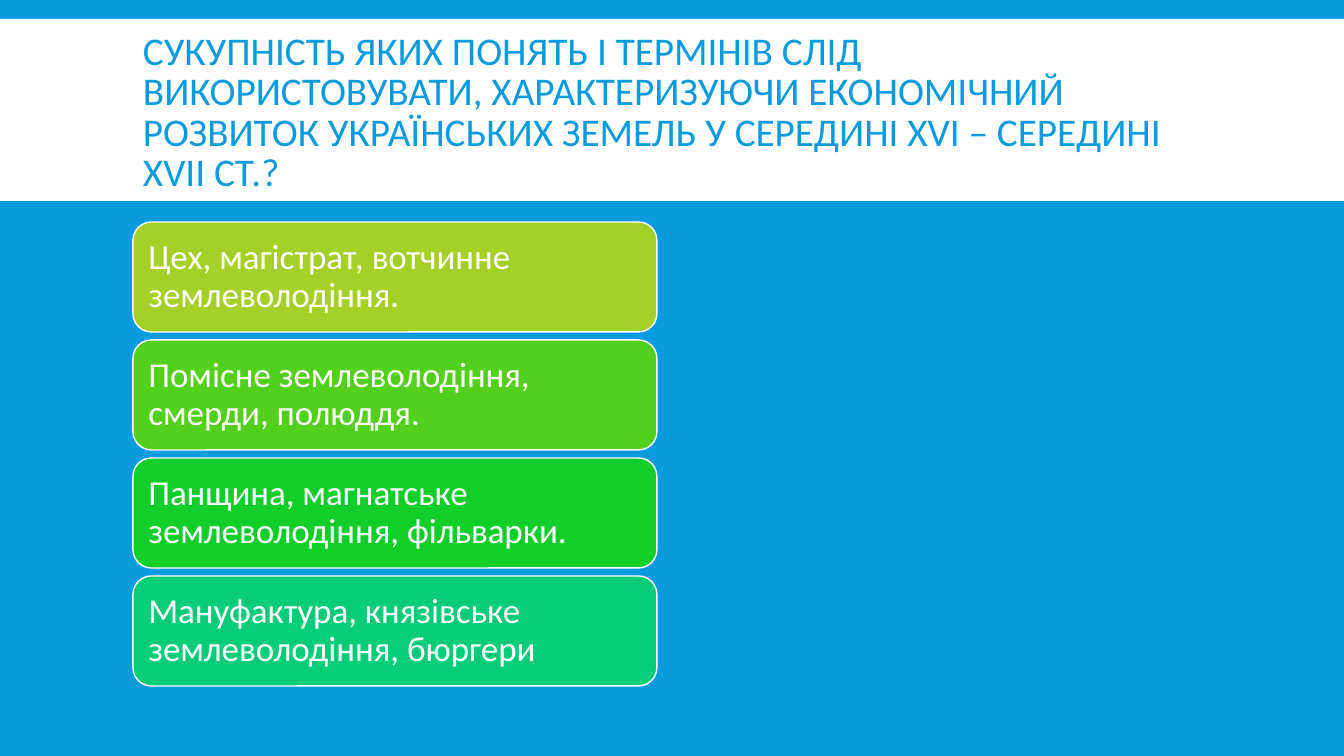
import pptx
import pptx.util
import pptx.dml.color
import pptx.enum.shapes
import pptx.enum.text

RGBColor = pptx.dml.color.RGBColor
Kind = pptx.enum.shapes.MSO_SHAPE
PX = 914400 / 100.8

BLUE = RGBColor(0x09, 0x9B, 0xDD)
WHITE = RGBColor(0xFF, 0xFF, 0xFF)
LIME = RGBColor(0xA5, 0xD0, 0x28)
GRASS = RGBColor(0x53, 0xD0, 0x1C)
GREEN = RGBColor(0x12, 0xCE, 0x2B)
MINT = RGBColor(0x08, 0xCC, 0x78)


def px(n):
    return pptx.util.Emu(round(n * PX))


def write(shape, text, size, color, space, side, edge):
    frame = shape.text_frame
    frame.word_wrap = True
    frame.vertical_anchor = pptx.enum.text.MSO_ANCHOR.MIDDLE
    frame.margin_left = frame.margin_right = px(side)
    frame.margin_top = frame.margin_bottom = px(edge)
    para = frame.paragraphs[0]
    para.alignment = pptx.enum.text.PP_ALIGN.LEFT
    para.line_spacing = space
    run = para.add_run()
    run.text = text
    run.font.name = "Calibri"
    run.font.size = pptx.util.Pt(size)
    run.font.color.rgb = color


deck = pptx.Presentation()
deck.slide_width = px(1344)
deck.slide_height = px(756)
slide = deck.slides.add_slide(deck.slide_layouts[6])
slide.background.fill.solid()
slide.background.fill.fore_color.rgb = BLUE

band = slide.shapes.add_shape(Kind.RECTANGLE, 0, px(19), px(1344), px(182))
band.shadow.inherit = False
band.fill.solid()
band.fill.fore_color.rgb = WHITE
band.line.fill.background()

title = slide.shapes.add_textbox(px(133), px(31), px(1079), px(166))
write(title, "СУКУПНІСТЬ ЯКИХ ПОНЯТЬ І ТЕРМІНІВ СЛІД ВИКОРИСТОВУВАТИ, "
      "ХАРАКТЕРИЗУЮЧИ ЕКОНОМІЧНИЙ РОЗВИТОК УКРАЇНСЬКИХ ЗЕМЕЛЬ "
      "У СЕРЕДИНІ XVI – СЕРЕДИНІ XVII СТ.?",
      size=28, color=BLUE, space=0.85, side=10, edge=5)

cards = [
    ("Цех, магістрат, вотчинне землеволодіння.", LIME),
    ("Помісне землеволодіння, смерди, полюддя.", GRASS),
    ("Панщина, магнатське землеволодіння, фільварки.", GREEN),
    ("Мануфактура, князівське землеволодіння, бюргери", MINT),
]
for i, (text, color) in enumerate(cards):
    card = slide.shapes.add_shape(
        Kind.ROUNDED_RECTANGLE, px(133), px(222 + 118 * i), px(524), px(110))
    card.shadow.inherit = False
    card.fill.solid()
    card.fill.fore_color.rgb = color
    card.line.color.rgb = WHITE
    card.line.width = pptx.util.Pt(1)
    write(card, text, size=25, color=WHITE, space=0.9, side=10, edge=10)

deck.save("out.pptx")
